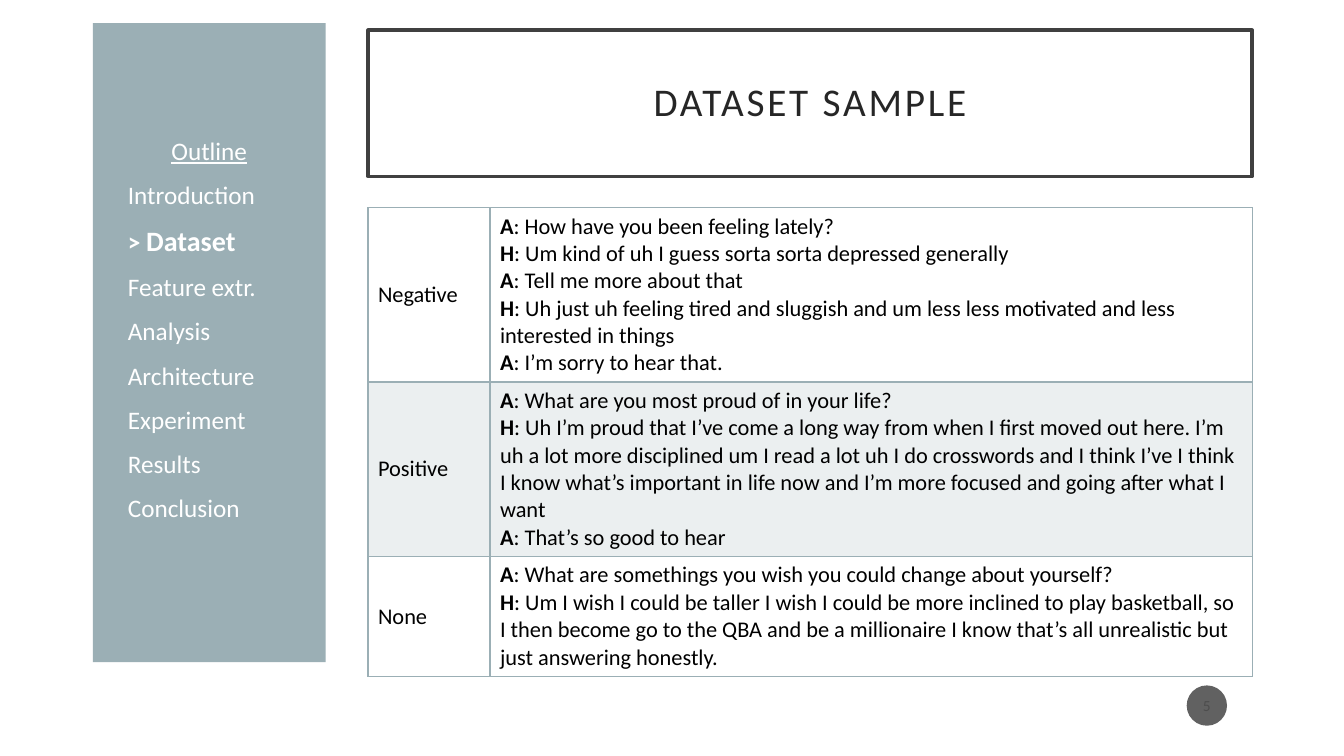
"""Build the dataset sample slide."""
from dataclasses import dataclass

from lxml.etree import SubElement as Sub
from pptx import Presentation
from pptx.dml.color import RGBColor as RGB
from pptx.enum.shapes import MSO_SHAPE as Shape
from pptx.enum.text import MSO_ANCHOR as Anchor, PP_ALIGN as Align
from pptx.oxml.ns import qn
from pptx.util import Inches, Pt


@dataclass(frozen=True)
class Theme:
    """Hold the colours and type sizes."""
    font: str = "Calibri"
    white: str = "FFFFFF"
    black: str = "000000"
    ink: str = "262626"
    frame: str = "404040"
    accent: str = "9BAFB5"
    tint: str = "EBEFF0"
    badge: str = "616161"
    digit: str = "4D4D4D"
    title: int = 28
    menu: int = 18
    active: int = 20
    body: int = 16
    page: int = 11


THEME = Theme()
TOPICS = ["Introduction", "Dataset", "Feature extr.", "Analysis",
          "Architecture", "Experiment", "Results", "Conclusion"]
CURRENT = "Dataset"
SAMPLES = [
    ("Negative", 1.73, [
        "A: How have you been feeling lately?",
        "H: Um kind of uh I guess sorta sorta depressed generally",
        "A: Tell me more about that",
        "H: Uh just uh feeling tired and sluggish and um less less motivated "
        "and less interested in things",
        "A: I’m sorry to hear that."]),
    ("Positive", 1.73, [
        "A: What are you most proud of in your life?",
        "H: Uh I’m proud that I’ve come a long way from when I first moved "
        "out here. I’m uh a lot more disciplined um I read a lot uh I do "
        "crosswords and I think I’ve I think I know what’s important in life "
        "now and I’m more focused and going after what I want",
        "A: That’s so good to hear"]),
    ("None", 1.19, [
        "A: What are somethings you wish you could change about yourself?",
        "H: Um I wish I could be taller I wish I could be more inclined to "
        "play basketball, so I then become go to the QBA and be a millionaire "
        "I know that’s all unrealistic but just answering honestly."]),
]


def apply(item, **values):
    """Set each given attribute on the item."""
    for name, value in values.items():
        setattr(item, name, value)


def place(shape, left, top, width, height):
    """Move and size a shape in inches."""
    apply(shape, left=Inches(left), top=Inches(top),
          width=Inches(width), height=Inches(height))


def paint(item, color):
    """Give an item a solid fill."""
    item.fill.solid()
    item.fill.fore_color.rgb = RGB.from_string(color)


def write(para, text, size, color, **style):
    """Add a formatted run to a paragraph."""
    run = para.add_run()
    run.text = text
    apply(run.font, name=THEME.font, size=Pt(size), **style)
    run.font.color.rgb = RGB.from_string(color)
    return run


def add_block(slide, kind, box, color):
    """Add a plain filled shape and return its text frame."""
    shape = slide.shapes.add_shape(kind, *map(Inches, box))
    shape.shadow.inherit = False
    paint(shape, color)
    shape.line.fill.background()
    frame = shape.text_frame
    apply(frame, word_wrap=True, vertical_anchor=Anchor.MIDDLE)
    return frame


def add_title(slide, text):
    """Format the framed title placeholder."""
    title = slide.shapes.title
    place(title, 3.65, 0.3, 8.77, 1.45)
    paint(title, THEME.white)
    title.line.color.rgb = RGB.from_string(THEME.frame)
    title.line.width = Pt(2.5)
    frame = title.text_frame
    pad = Inches(0.2)
    apply(frame, word_wrap=True, vertical_anchor=Anchor.MIDDLE,
          margin_left=pad, margin_right=pad, margin_top=pad, margin_bottom=pad)
    para = frame.paragraphs[0]
    apply(para, alignment=Align.CENTER, line_spacing=0.9)
    run = write(para, text, THEME.title, THEME.ink)
    run.font._element.set("spc", "200")


def add_menu(slide):
    """Add the outline sidebar with the current topic marked."""
    frame = add_block(slide, Shape.RECTANGLE, (0.92, 0.23, 2.31, 6.34),
                      THEME.accent)
    frame.margin_bottom = Inches(0.32)
    head = frame.paragraphs[0]
    head.alignment = Align.CENTER
    write(head, "Outline", THEME.menu, THEME.white, underline=True)
    for topic in TOPICS:
        para = frame.add_paragraph()
        apply(para, alignment=Align.LEFT, space_before=Pt(10))
        para._p.get_or_add_pPr().set("marL", str(Inches(0.25)))
        if topic == CURRENT:
            write(para, "> ", THEME.menu, THEME.white, bold=True)
            write(para, topic, THEME.active, THEME.white, bold=True)
        else:
            write(para, topic, THEME.menu, THEME.white)


def add_edges(cell, **widths):
    """Draw the cell borders with widths in points by side."""
    props = cell._tc.get_or_add_tcPr()
    for side in "LRTB":
        line = Sub(props, qn(f"a:ln{side}"), w=str(Pt(widths.get(side, 1))))
        fill = Sub(line, qn("a:solidFill"))
        Sub(fill, qn("a:srgbClr"), val=THEME.accent)


def add_speech(frame, lines):
    """Write dialogue lines with bold speakers."""
    for pos, line in enumerate(lines):
        para = frame.add_paragraph() if pos else frame.paragraphs[0]
        who, said = line.split(":", 1)
        write(para, who, THEME.body, THEME.black, bold=True)
        write(para, ":" + said, THEME.body, THEME.black)


def add_samples(slide):
    """Add the table of labelled dialogues."""
    box = map(Inches, (3.65, 2.06, 8.77, 4.65))
    table = slide.shapes.add_table(len(SAMPLES), 2, *box).table
    apply(table, first_row=False, horz_banding=False)
    for col, width in zip(table.columns, (1.21, 7.56)):
        col.width = Inches(width)
    for pos, (label, height, lines) in enumerate(SAMPLES):
        table.rows[pos].height = Inches(height)
        name, talk = table.cell(pos, 0), table.cell(pos, 1)
        for cell in (name, talk):
            add_edges(cell, T=2 if pos == 1 else 1, B=2 if pos == 0 else 1)
            paint(cell, THEME.tint if pos % 2 else THEME.white)
        name.vertical_anchor = Anchor.MIDDLE
        write(name.text_frame.paragraphs[0], label, THEME.body, THEME.black)
        add_speech(talk.text_frame, lines)


def add_page(slide, number):
    """Add the round page number."""
    frame = add_block(slide, Shape.OVAL, (11.77, 6.8, 0.4, 0.4), THEME.badge)
    apply(frame, margin_left=0, margin_right=0, margin_top=0, margin_bottom=0)
    para = frame.paragraphs[0]
    para.alignment = Align.CENTER
    write(para, number, THEME.page, THEME.digit)


def main():
    """Build and save the slide."""
    deck = Presentation()
    apply(deck, slide_width=Inches(13.33), slide_height=Inches(7.5))
    slide = deck.slides.add_slide(deck.slide_layouts[5])
    add_title(slide, "DATASET SAMPLE")
    add_menu(slide)
    add_page(slide, "5")
    add_samples(slide)
    deck.save("out.pptx")


if __name__ == "__main__":
    main()
